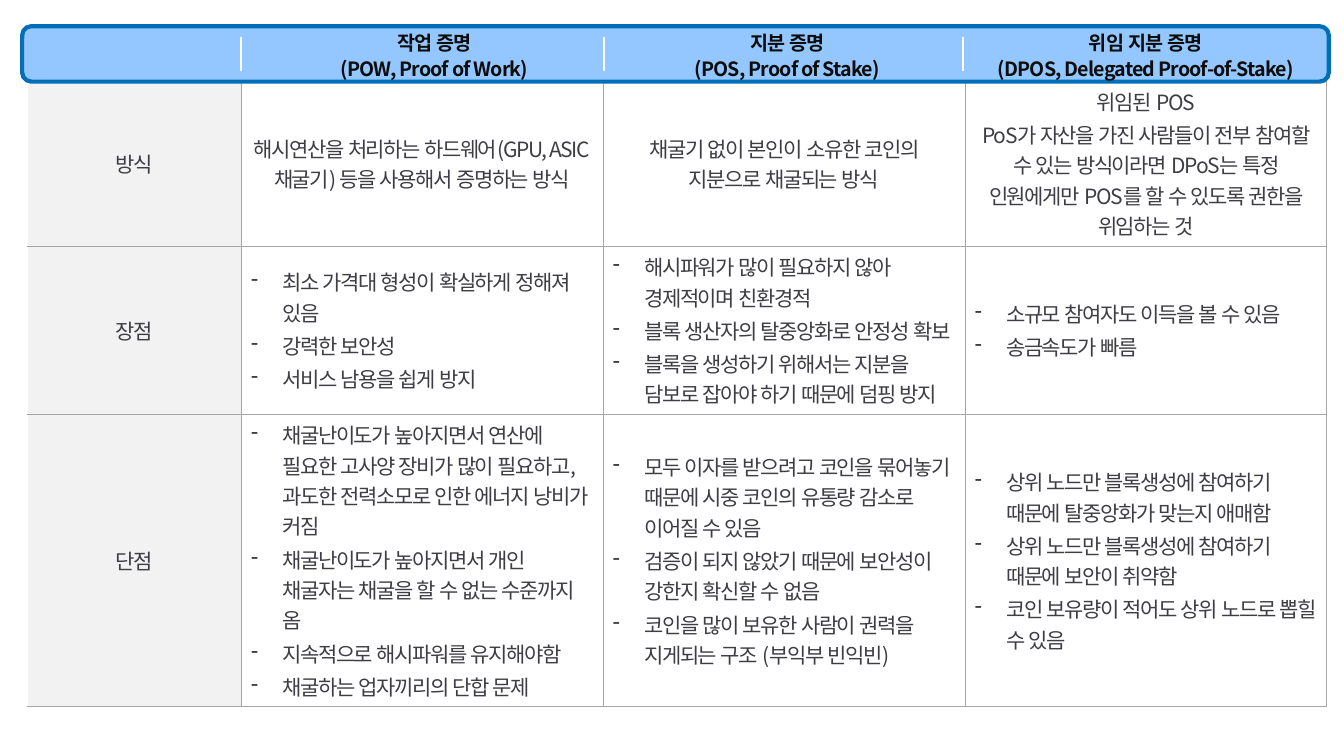
from lxml import etree
from pptx import Presentation
from pptx import util as u
from pptx.dml.color import RGBColor
from pptx.enum import lang, shapes, text
from pptx.oxml import ns

FONT = "Noto Sans CJK KR"
GREY = "A6A6A6"
HEADINGS = [
    (2.91, 2.8, "작업 증명", "(POW, Proof of Work)"),
    (6.41, 2.8, "지분 증명", "(POS, Proof of Stake)"),
    (9.55, 3.63, "위임 지분 증명", "(DPOS, Delegated Proof-of-Stake)"),
]
DIVIDERS = [2.39, 5.99, 9.55]
COLUMN_WIDTHS = [2.12, 3.59, 3.59, 3.59]
ROW_HEIGHTS = [1.64, 1.67, 2.9]
ROWS = [
    [
        ["방식"],
        ["해시연산을 처리하는 하드웨어(GPU, ASIC채굴기) 등을 사용해서 증명하는 방식"],
        ["채굴기 없이 본인이 소유한 코인의 지분으로 채굴되는 방식"],
        ["위임된 POS",
         "PoS가 자산을 가진 사람들이 전부 참여할 수 있는 방식이라면 DPoS는 특정 인원에게만 POS를 할 수 있도록 권한을 위임하는 것"],
    ],
    [
        ["장점"],
        ["최소 가격대 형성이 확실하게 정해져 있음", "강력한 보안성", "서비스 남용을 쉽게 방지"],
        ["해시파워가 많이 필요하지 않아 경제적이며 친환경적",
         "블록 생산자의 탈중앙화로 안정성 확보",
         "블록을 생성하기 위해서는 지분을 담보로 잡아야 하기 때문에 덤핑 방지"],
        ["소규모 참여자도 이득을 볼 수 있음", "송금속도가 빠름"],
    ],
    [
        ["단점"],
        ["채굴난이도가 높아지면서 연산에 필요한 고사양 장비가 많이 필요하고, 과도한 전력소모로 인한 에너지 낭비가 커짐",
         "채굴난이도가 높아지면서 개인 채굴자는 채굴을 할 수 없는 수준까지 옴",
         "지속적으로 해시파워를 유지해야함",
         "채굴하는 업자끼리의 단합 문제"],
        ["모두 이자를 받으려고 코인을 묶어놓기 때문에 시중 코인의 유통량 감소로 이어질 수 있음",
         "검증이 되지 않았기 때문에 보안성이 강한지 확신할 수 없음",
         "코인을 많이 보유한 사람이 권력을 지게되는 구조 (부익부 빈익빈)"],
        ["상위 노드만 블록생성에 참여하기 때문에 탈중앙화가 맞는지 애매함",
         "상위 노드만 블록생성에 참여하기 때문에 보안이 취약함",
         "코인 보유량이 적어도 상위 노드로 뽑힐 수 있음"],
    ],
]


def color(value):
    return RGBColor.from_string(value)


def add_xml(parent, tag, **attrs):
    return etree.SubElement(parent, ns.qn(tag), attrs)


def write(tf, lines, size, ink, tracking, before=0, bold=False, bulleted=False):
    tf.text = "\n".join(lines)
    for p in tf.paragraphs:
        p.alignment = text.PP_ALIGN.LEFT if bulleted else text.PP_ALIGN.CENTER
        p.space_before = u.Pt(before)
        if bulleted:
            pPr = p._p.get_or_add_pPr()
            pPr.set("marL", str(u.Inches(0.31)))
            pPr.set("indent", str(-u.Inches(0.31)))
            add_xml(pPr, "a:buChar", char="-")
        for r in p.runs:
            r.font.size = u.Pt(size)
            r.font.bold = bold
            r.font.name = FONT
            r.font.color.rgb = color(ink)
            r.font.language_id = lang.MSO_LANGUAGE_ID.KOREAN
            rPr = r.font._element
            rPr.set("spc", str(tracking))
            add_xml(rPr, "a:ea", typeface=FONT)


def add_borders(cell, sides):
    tcPr = cell._tc.get_or_add_tcPr()
    for side in sides:
        ln = add_xml(tcPr, f"a:ln{side}", w=str(u.Pt(0.5)))
        add_xml(add_xml(ln, "a:solidFill"), "a:srgbClr", val=GREY)


def add_comparison(s, left, top):
    frame = s.shapes.add_table(
        len(ROWS), len(COLUMN_WIDTHS), u.Inches(left), u.Inches(top),
        u.Inches(sum(COLUMN_WIDTHS)), u.Inches(sum(ROW_HEIGHTS)))
    table = frame.table
    table.first_row = table.horz_banding = False
    for column, width in zip(table.columns, COLUMN_WIDTHS):
        column.width = u.Inches(width)
    for i, (row, height) in enumerate(zip(ROWS, ROW_HEIGHTS)):
        table.rows[i].height = u.Inches(height)
        for j, lines in enumerate(row):
            cell = table.cell(i, j)
            add_borders(cell, ("L" if j else "") + "R" + ("T" if i else "") + "B")
            cell.fill.solid()
            cell.fill.fore_color.rgb = color("FFFFFF" if j else "F2F2F2")
            cell.vertical_anchor = text.MSO_ANCHOR.MIDDLE
            write(cell.text_frame, lines, 15, "3E3D43", -100,
                  before=2 if j else 0, bulleted=i > 0 and j > 0)


def add_header(s, left, top, width, height):
    group = s.shapes.add_group_shape().shapes
    bar = group.add_shape(
        shapes.MSO_SHAPE.ROUNDED_RECTANGLE,
        u.Inches(left), u.Inches(top), u.Inches(width), u.Inches(height))
    bar.shadow.inherit = False
    bar.fill.solid()
    bar.fill.fore_color.rgb = color("94C7FF")
    bar.line.color.rgb = color("016FB8")
    bar.line.width = u.Pt(3)
    for x in DIVIDERS:
        divider = group.add_connector(
            shapes.MSO_CONNECTOR.STRAIGHT, u.Inches(x), u.Inches(top + 0.11),
            u.Inches(x), u.Inches(top + height - 0.11))
        divider.line.color.rgb = color("FFFFFF")
        divider.line.width = u.Pt(1.5)
        add_xml(divider._element.spPr, "a:effectLst")
    for x, box_width, *lines in HEADINGS:
        box = group.add_textbox(
            u.Inches(x), u.Inches(top + 0.04), u.Inches(box_width), u.Inches(0.5))
        tf = box.text_frame
        tf.word_wrap = True
        tf.auto_size = text.MSO_AUTO_SIZE.SHAPE_TO_FIT_TEXT
        tf.vertical_anchor = text.MSO_ANCHOR.MIDDLE
        tf.margin_left = tf.margin_right = tf.margin_top = tf.margin_bottom = 0
        write(tf, lines, 14, "0D0D0D", -60, before=1.7, bold=True)


def main():
    prs = Presentation()
    prs.slide_width = u.Inches(13.33)
    prs.slide_height = u.Inches(7.5)
    s = prs.slides.add_slide(prs.slide_layouts[6])
    add_comparison(s, 0.27, 0.8)
    add_header(s, 0.22, 0.26, 12.96, 0.55)
    prs.save("out.pptx")


if __name__ == "__main__":
    main()
